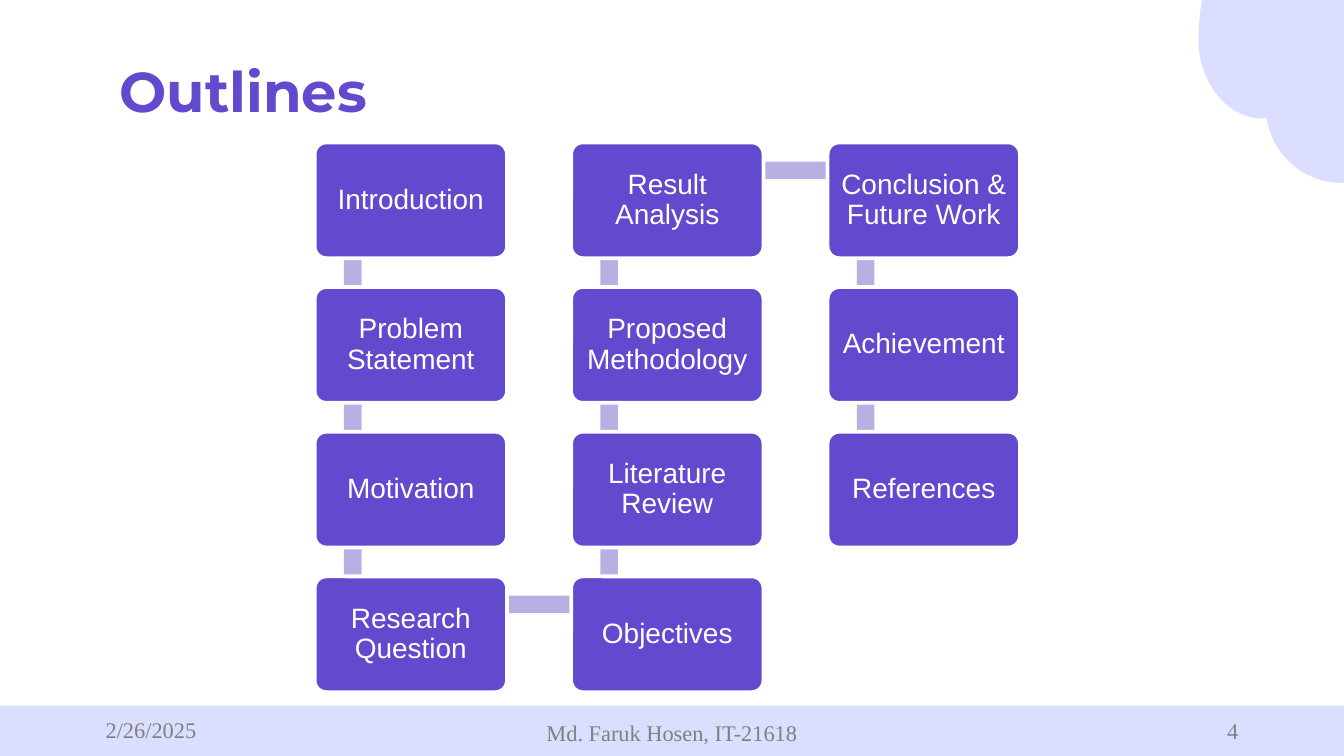
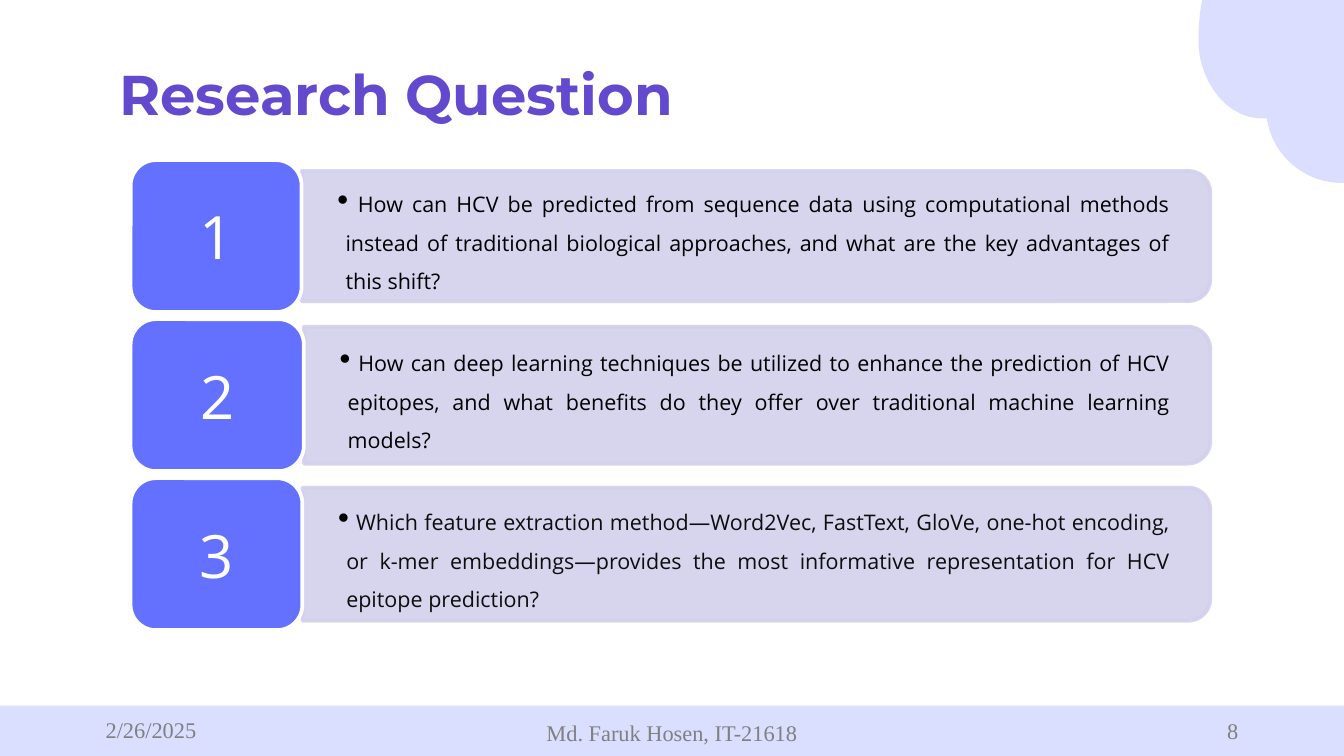
"""Build the outline and research question slides of a thesis defence."""
from dataclasses import dataclass

from lxml import etree
from pptx import Presentation
from pptx.dml.color import RGBColor
from pptx.enum.shapes import MSO_SHAPE
from pptx.enum.text import MSO_ANCHOR, PP_ALIGN
from pptx.oxml.ns import qn
from pptx.util import Pt

RECT, OVAL = MSO_SHAPE.RECTANGLE, MSO_SHAPE.OVAL
ROUNDED, ROUND_TOP = MSO_SHAPE.ROUNDED_RECTANGLE, MSO_SHAPE.ROUND_2_SAME_RECTANGLE
TOP, MIDDLE = MSO_ANCHOR.TOP, MSO_ANCHOR.MIDDLE
LEFT, CENTER, RIGHT, JUSTIFY = PP_ALIGN.LEFT, PP_ALIGN.CENTER, PP_ALIGN.RIGHT, PP_ALIGN.JUSTIFY


@dataclass(frozen=True)
class Theme:
    primary: str = "6249CE"
    link: str = "B7B1E3"
    badge: str = "6471FF"
    panel: str = "D3D0ED"
    cloud: str = "DBDEFF"
    band: str = "DBDFFF"
    muted: str = "808080"
    black: str = "000000"
    soft_black: str = "0D0D0D"
    white: str = "FFFFFF"
    title_font: str = "Montserrat"
    step_font: str = "Arial"
    question_font: str = "Open Sans"
    footer_font: str = "Times New Roman"
    title_size: float = 30
    step_size: float = 15
    question_size: float = 11.5
    number_size: float = 32
    footer_size: float = 12
    outline: float = 2


THEME = Theme()
SLIDE_W, SLIDE_H = 720, 405

DATE = "2/26/2025"
AUTHOR = "Md. Faruk Hosen, IT-21618"

OUTLINE = {"title": "Outlines", "title_top": 23, "page": "4"}
STEPS = [
    ("Introduction", 0, 0),
    ("Problem Statement", 0, 1),
    ("Motivation", 0, 2),
    ("Research Question", 0, 3),
    ("Objectives", 1, 3),
    ("Literature Review", 1, 2),
    ("Proposed Methodology", 1, 1),
    ("Result Analysis", 1, 0),
    ("Conclusion & Future Work", 2, 0),
    ("Achievement", 2, 1),
    ("References", 2, 2),
]

RESEARCH = {"title": "Research Question", "title_top": 24.5, "page": "8"}
QUESTIONS = [
    {"text": " How can HCV be predicted from sequence data using computational methods "
             "instead of traditional biological approaches, and what are the key "
             "advantages of this shift?",
     "color": THEME.black, "panel_height": 69.8, "badge_width": 91.6},
    {"text": " How can deep learning techniques be utilized to enhance the prediction of "
             "HCV epitopes, and what benefits do they offer over traditional machine "
             "learning models?",
     "color": THEME.black, "panel_height": 73.4, "badge_width": 92.8},
    {"text": " Which feature extraction method—Word2Vec, FastText, GloVe, one-hot encoding, "
             "or k-mer embeddings—provides the most informative representation for HCV "
             "epitope prediction?",
     "color": THEME.soft_black, "panel_height": 71.3, "badge_width": 92},
]

CLOUD_START = (688.3, -31)
CLOUD_CURVES = [
    ((680.4, -31.7), (672.5, -31.7), (665.3, -28.8)),
    ((659.5, -26.6), (655.9, -24.5), (651.6, -18.7)),
    ((644.4, -8.6), (641.5, 7.9), (642.2, 25.9)),
    ((643.7, 43.9), (657.4, 65.5), (679.7, 63.4)),
    ((702, 61.9), (729.4, 57.6), (737.3, 46.1)),
    ((753.1, 23), (730.8, -14.4), (716.4, -22.3)),
    ((707, -26.6), (697.7, -28.8), CLOUD_START),
]


def paint(shape, fill, line=None, opacity=None):
    shape.shadow.inherit = False
    shape.fill.solid()
    shape.fill.fore_color.rgb = RGBColor.from_string(fill)
    if line is None:
        shape.line.fill.background()
    else:
        shape.line.width = Pt(THEME.outline)
        shape.line.color.rgb = RGBColor.from_string(line)
    if opacity is not None:
        for color in shape.element.spPr.iter(qn("a:srgbClr")):
            etree.SubElement(color, qn("a:alpha")).set("val", str(opacity * 1000))
    return shape


def add_block(slide, preset, x, y, width, height, fill, line=None, opacity=None):
    block = slide.shapes.add_shape(preset, Pt(x), Pt(y), Pt(width), Pt(height))
    return paint(block, fill, line, opacity)


def add_area(slide, x, y, width, height):
    return slide.shapes.add_textbox(Pt(x), Pt(y), Pt(width), Pt(height))


def write(holder, text, *, font, size, color, bold=False, align=LEFT, anchor=MIDDLE,
          insets=(7.2, 3.6), spacing=None, bullet=None, hang=4.3):
    frame = holder.text_frame
    frame.word_wrap = True
    frame.vertical_anchor = anchor
    frame.margin_left = frame.margin_right = Pt(insets[0])
    frame.margin_top = frame.margin_bottom = Pt(insets[1])
    paragraph = frame.paragraphs[0]
    paragraph.alignment = align
    if spacing:
        paragraph.line_spacing = spacing
    if bullet:
        paragraph.level = 1
        properties = paragraph._p.get_or_add_pPr()
        properties.set("marL", str(Pt(hang)))
        properties.set("indent", str(-Pt(hang)))
        tint = etree.SubElement(properties, qn("a:buClr"))
        etree.SubElement(tint, qn("a:srgbClr")).set("val", THEME.black)
        etree.SubElement(properties, qn("a:buSzPct")).set("val", "150000")
        etree.SubElement(properties, qn("a:buChar")).set("char", bullet)
    run = paragraph.add_run()
    run.text = text
    run.font.name = font
    run.font.size = Pt(size)
    run.font.bold = bold
    run.font.color.rgb = RGBColor.from_string(color)


def curve_points(start, curves, samples=12):
    for first, second, end in curves:
        for k in range(1, samples + 1):
            t = k / samples
            u = 1 - t
            yield tuple(
                Pt(u**3 * a + 3 * u * u * t * b + 3 * u * t * t * c + t**3 * d)
                for a, b, c, d in zip(start, first, second, end))
        start = end


def add_base(deck, content):
    slide = deck.slides.add_slide(deck.slide_layouts[6])
    add_block(slide, OVAL, 678.2, 16.6, 81.4, 81.4, THEME.cloud)
    builder = slide.shapes.build_freeform(*map(Pt, CLOUD_START))
    builder.add_line_segments(list(curve_points(CLOUD_START, CLOUD_CURVES)))
    paint(builder.convert_to_shape(), THEME.cloud)
    write(add_area(slide, 56.9, content["title_top"], 607, 45.4), content["title"],
          font=THEME.title_font, size=THEME.title_size, color=THEME.primary,
          bold=True, anchor=TOP, insets=(7.2, 7.2))
    add_block(slide, RECT, 0, 378, SLIDE_W, 27, THEME.band)
    footers = [
        (DATE, LEFT, (49.5, 380.2, 162, 21.6)),
        (AUTHOR, CENTER, (238.5, 380.2, 243, 24.5)),
        (content["page"], RIGHT, (508.5, 378, 162, 27)),
    ]
    for text, align, area in footers:
        write(add_area(slide, *area), text, font=THEME.footer_font,
              size=THEME.footer_size, color=THEME.muted, align=align)
    return slide


def add_outline(deck):
    slide = add_base(deck, OUTLINE)
    width, height, thickness = 103, 62, 9.4
    places = [(168.6 + 137.4 * column, 76.3 + 77.5 * row) for _, column, row in STEPS]
    joints = [(x + 20.4, y + 15) for x, y in places]
    for (x1, y1), (x2, y2) in zip(joints, joints[1:]):
        across, down = abs(x2 - x1), abs(y2 - y1)
        if across > down:
            add_block(slide, RECT, x1, y1 - thickness / 2, across, thickness, THEME.link)
        else:
            add_block(slide, RECT, x1 - thickness / 2, min(y1, y2), thickness, down, THEME.link)
    for (label, _, _), (x, y) in zip(STEPS, places):
        step = add_block(slide, ROUNDED, x, y, width, height, THEME.primary, THEME.white)
        step.adjustments[0] = 0.1
        write(step, label, font=THEME.step_font, size=THEME.step_size, color=THEME.white,
              align=CENTER, insets=(4, 4), spacing=0.9)


def add_questions(deck):
    slide = add_base(deck, RESEARCH)
    badge_left, badge_height, panel_right = 70, 81.4, 648.4
    for number, question in enumerate(QUESTIONS, 1):
        middle = 126.5 + 85.2 * (number - 1)
        height = question["panel_height"]
        panel_left = badge_left + question["badge_width"]
        length = panel_right - panel_left
        panel = add_block(slide, ROUND_TOP, (panel_left + panel_right - height) / 2,
                          middle - length / 2, height, length,
                          THEME.panel, THEME.panel, opacity=90)
        panel.rotation = 90
        text_height = height - 6.8
        write(add_area(slide, panel_left, middle - text_height / 2, length - 2.6, text_height),
              question["text"], font=THEME.question_font, size=THEME.question_size,
              color=question["color"], align=JUSTIFY, insets=(19.2, 10),
              spacing=1.5, bullet="•")
        badge = add_block(slide, ROUNDED, badge_left, middle - badge_height / 2,
                          question["badge_width"], badge_height, THEME.badge, THEME.white)
        write(badge, str(number), font=THEME.question_font, size=THEME.number_size,
              color=THEME.white, align=CENTER, insets=(9.6, 4.8))


def main():
    deck = Presentation()
    deck.slide_width, deck.slide_height = Pt(SLIDE_W), Pt(SLIDE_H)
    add_outline(deck)
    add_questions(deck)
    deck.save("out.pptx")


if __name__ == "__main__":
    main()
